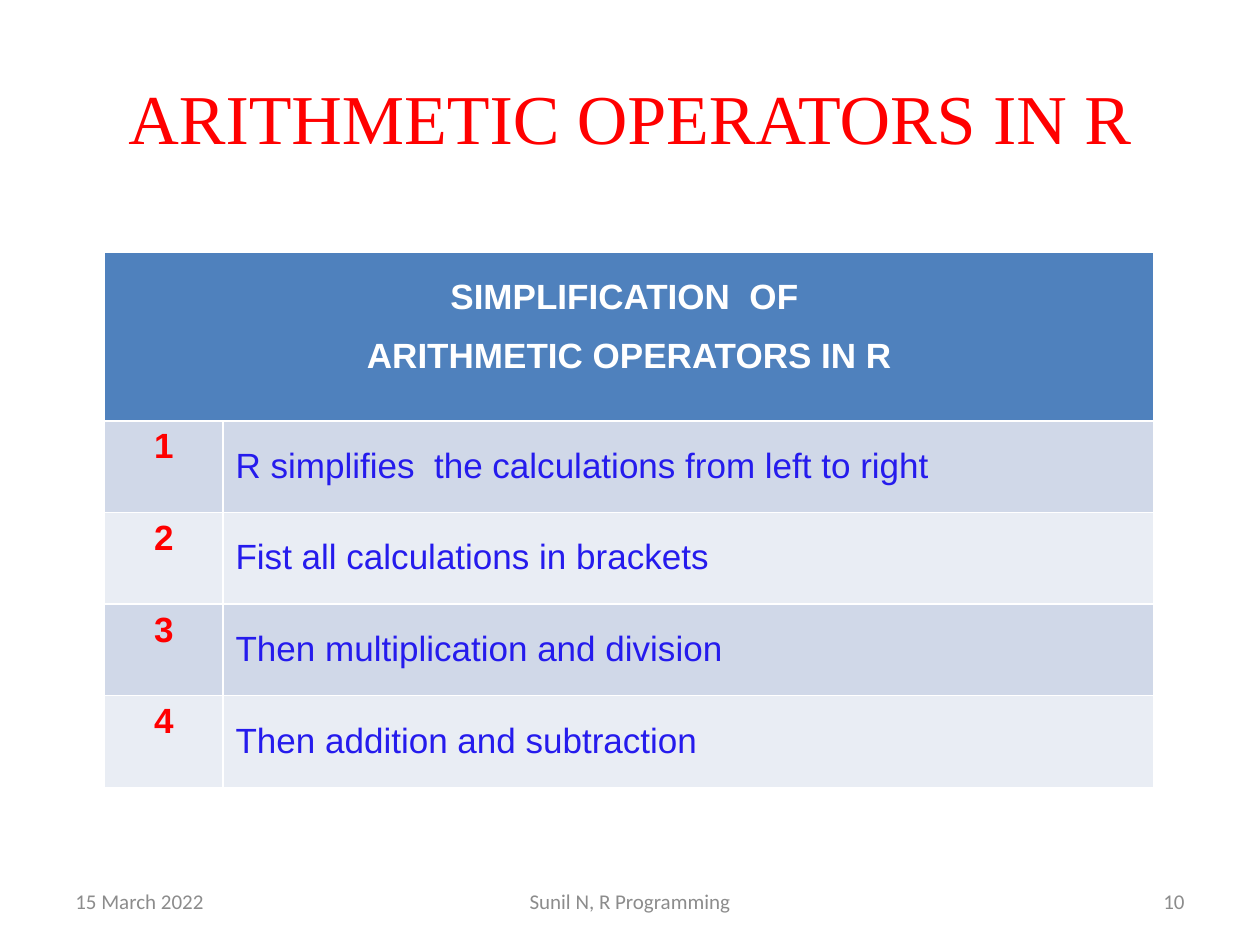
import pptx
import pptx.util
from pptx.dml.color import RGBColor
from pptx.enum.text import MSO_ANCHOR, PP_ALIGN
from pptx.util import Inches

RED = RGBColor(0xFF, 0x00, 0x00)
GREY = RGBColor(0x8C, 0x8C, 0x8C)
WHITE = RGBColor(0xFF, 0xFF, 0xFF)
BLUE = RGBColor(0x25, 0x1B, 0xED)
HEAD = RGBColor(0x4F, 0x81, 0xBD)
BANDS = (RGBColor(0xD0, 0xD8, 0xE8), RGBColor(0xE9, 0xED, 0xF4))

TITLE = "ARITHMETIC OPERATORS IN R"
HEADING = "SIMPLIFICATION  OF \nARITHMETIC OPERATORS IN R"
RULES = (
    "R simplifies  the calculations from left to right",
    "Fist all calculations in brackets",
    "Then multiplication and division",
    "Then addition and subtraction",
)


def style(frame, font, size, color, align=PP_ALIGN.LEFT, bold=False, gap=1.0):
    for para in frame.paragraphs:
        para.alignment = align
        para.line_spacing = gap
        for run in para.runs:
            run.font.name = font
            run.font.size = pptx.util.Pt(size)
            run.font.bold = bold
            run.font.color.rgb = color


def add_text(slide, box, text, *look):
    frame = slide.shapes.add_textbox(*map(Inches, box)).text_frame
    frame.word_wrap = True
    frame.vertical_anchor = MSO_ANCHOR.MIDDLE
    frame.text = text
    style(frame, *look)


def add_footer(slide, box):
    left, top, width, height = box
    parts = (
        (0, 2.33, "15 March 2022", PP_ALIGN.LEFT),
        ((width - 3.17) / 2, 3.17, "Sunil N, R Programming", PP_ALIGN.CENTER),
        (width - 2.33, 2.33, "10", PP_ALIGN.RIGHT),
    )
    for shift, wide, text, align in parts:
        add_text(slide, (left + shift, top, wide, height), text,
                 "Calibri", 12, GREY, align)


def fill_cell(cell, text, fill, *look):
    cell.fill.solid()
    cell.fill.fore_color.rgb = fill
    cell.text_frame.text = text
    style(cell.text_frame, "Arial", 20, *look)


def add_rules(slide, box):
    """Place the table: one merged heading, then numbered rules."""
    left, top, width, height = box
    head, first = 1.34, 0.94
    table = slide.shapes.add_table(len(RULES) + 1, 2, *map(Inches, box)).table
    table.columns[0].width = Inches(first)
    table.columns[1].width = Inches(width - first)
    for row in table.rows:
        row.height = Inches((height - head) / len(RULES))
    table.rows[0].height = Inches(head)

    table.cell(0, 0).merge(table.cell(0, 1))
    fill_cell(table.cell(0, 0), HEADING, HEAD,
              WHITE, PP_ALIGN.CENTER, True, 1.5)
    for num, rule in enumerate(RULES, 1):
        band = BANDS[(num - 1) % 2]
        fill_cell(table.cell(num, 0), str(num), band,
                  RED, PP_ALIGN.CENTER, True)
        fill_cell(table.cell(num, 1), rule, band,
                  BLUE, PP_ALIGN.LEFT, False, 1.5)


def main():
    deck = pptx.Presentation()
    deck.slide_width = Inches(10)
    deck.slide_height = Inches(7.5)
    slide = deck.slides.add_slide(deck.slide_layouts[6])
    add_text(slide, (0.5, 0.3, 9, 1.25), TITLE,
             "Times New Roman", 40, RED, PP_ALIGN.CENTER)
    add_rules(slide, (0.83, 2, 8.33, 4.25))
    add_footer(slide, (0.5, 6.95, 9, 0.4))
    deck.save("out.pptx")


if __name__ == "__main__":
    main()
